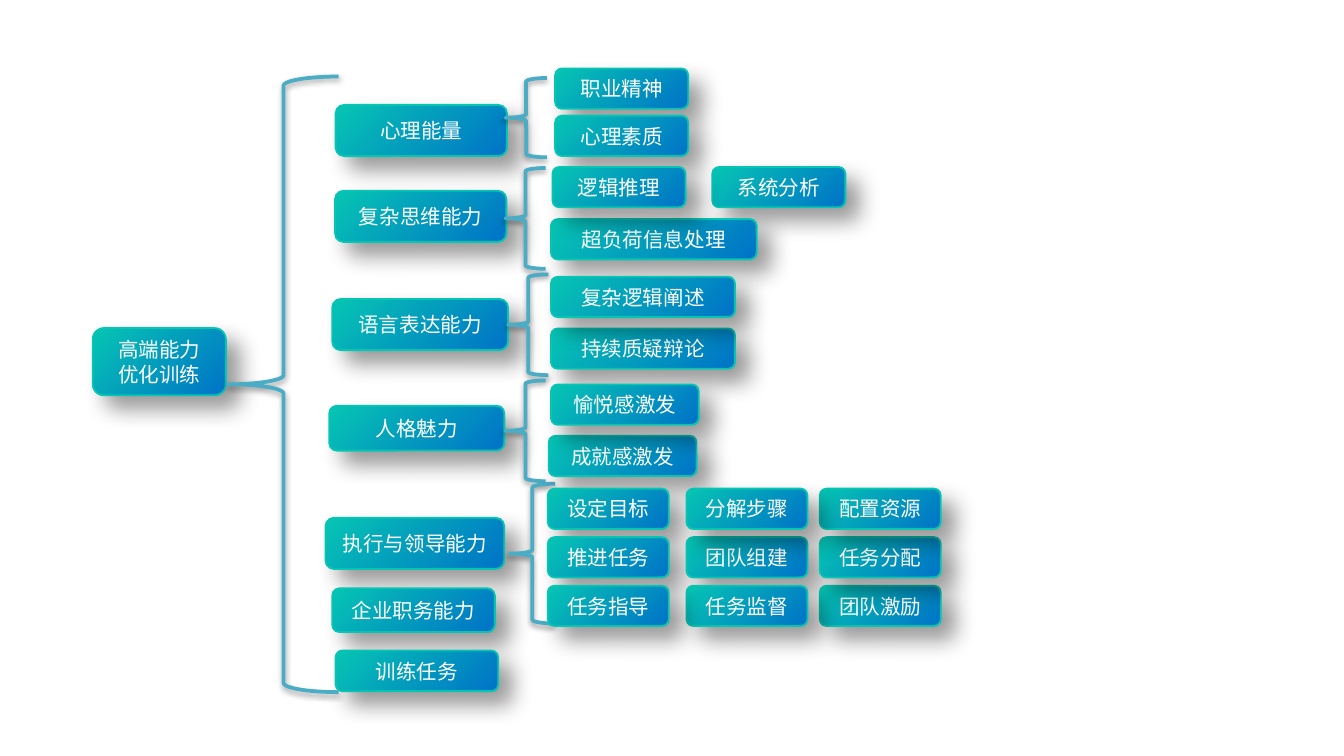
from dataclasses import dataclass

from lxml import etree
from pptx import Presentation
from pptx.dml.color import RGBColor
from pptx.enum import shapes as kinds, text
from pptx.oxml import ns
from pptx.util import Pt


@dataclass(frozen=True)
class Theme:
    teal: str = "06C5B3"
    blue: str = "0073C7"
    brace: str = "4BACC6"
    ink: str = "FFFFFF"
    shade: str = "000000"
    font: str = "Calibri"
    size: float = 11


theme = Theme()
LEAF = 21.6  # height of every leaf box

deck = Presentation()
deck.slide_width, deck.slide_height = Pt(720), Pt(405)
slide = deck.slides.add_slide(deck.slide_layouts[6])


def draw(kind, area, color, weight, shadow):
    """Add an outlined shape; shadow is opacity %, blur, distance, angle."""
    shape = slide.shapes.add_shape(kind, *map(Pt, area))
    shape.fill.background()
    shape.line.color.rgb = RGBColor.from_string(color)
    shape.line.width = Pt(weight)
    shape.shadow.inherit = False
    alpha, blur, dist, angle = shadow
    effects = shape._element.spPr.find(ns.qn("a:effectLst"))
    outer = etree.SubElement(
        effects, ns.qn("a:outerShdw"), blurRad=str(Pt(blur)),
        dist=str(Pt(dist)), dir=str(angle * 60000), algn="ctr", rotWithShape="0")
    tone = etree.SubElement(outer, ns.qn("a:srgbClr"), val=theme.shade)
    etree.SubElement(tone, ns.qn("a:alpha"), val=str(alpha * 1000))
    return shape


def add_box(label, *area):
    box = draw(kinds.MSO_SHAPE.ROUNDED_RECTANGLE, area, theme.teal, 1, (40, 12, 10, 45))
    box.fill.gradient()
    box.fill.gradient_angle = 315
    for stop, color, place in zip(box.fill.gradient_stops, (theme.teal, theme.blue), (0, 1)):
        stop.color.rgb = RGBColor.from_string(color)
        stop.position = place
    frame = box.text_frame
    frame.text = label
    frame.word_wrap = True
    frame.vertical_anchor = text.MSO_ANCHOR.MIDDLE
    para = frame.paragraphs[0]
    para.alignment = text.PP_ALIGN.CENTER
    font = para.runs[0].font
    font.name, font.size = theme.font, Pt(theme.size)
    font.color.rgb = RGBColor.from_string(theme.ink)


# Root and main branches: label, left, top, width, height
nodes = [
    ("高端能力优化训练", 49.7, 175.8, 71.3, 36),
    ("心理能量", 179.8, 56.2, 91.8, 27.4),
    ("复杂思维能力", 179.5, 102.2, 91.8, 27.4),
    ("语言表达能力", 178, 160.2, 94.2, 27.4),
    ("人格魅力", 176.4, 217.4, 93.8, 24),
    ("执行与领导能力", 174.4, 277.4, 95.8, 27.4),
    ("企业职务能力", 178, 315.2, 87.1, 23.4),
    ("训练任务", 179.8, 348.5, 87.1, 21.8),
]
braces = [
    (122.4, 41, 59, 329.8),
    (270.7, 41.8, 22.3, 42.5),
    (270.7, 90, 21.6, 54),
    (272.2, 147, 21.6, 54),
    (270.7, 203.8, 21.6, 54),
    (273, 259.2, 24.4, 74.9),
]
for node in nodes:
    add_box(*node)
for area in braces:
    draw(kinds.MSO_SHAPE.LEFT_BRACE, area, theme.brace, 2, (38, 3.1, 1.6, 90))

# Leaves of the first four branches: label, left, top, width.
# Later boxes cast their shadow on earlier ones.
leaves = [
    ("职业精神", 297.4, 36.7, 71.3),
    ("心理素质", 297.4, 62, 71.3),
    ("系统分析", 381.6, 89.5, 71.3),
    ("超负荷信息处理", 295.2, 117.4, 110.2),
    ("逻辑推理", 296, 89.5, 71.3),
    ("持续质疑辩论", 295.2, 176, 98.6),
    ("复杂逻辑阐述", 295.2, 148.3, 98.6),
    ("成就感激发", 294, 233.5, 79.2),
    ("愉悦感激发", 295.2, 206, 79.2),
]
for label, left, top, width in leaves:
    add_box(label, left, top, width, LEAF)

# Grid of the leadership branch: label, column, row
tasks = [
    ("设定目标", 0, 0), ("推进任务", 0, 1), ("团队组建", 1, 1),
    ("团队激励", 2, 2), ("任务监督", 1, 2), ("任务分配", 2, 1),
    ("配置资源", 2, 0), ("分解步骤", 1, 0), ("任务指导", 0, 2),
]
lefts = (293.5, 367.8, 439.2)
for label, col, row in tasks:
    add_box(label, lefts[col], 261.8 + row * 26, 64.8, LEAF)

deck.save("out.pptx")
